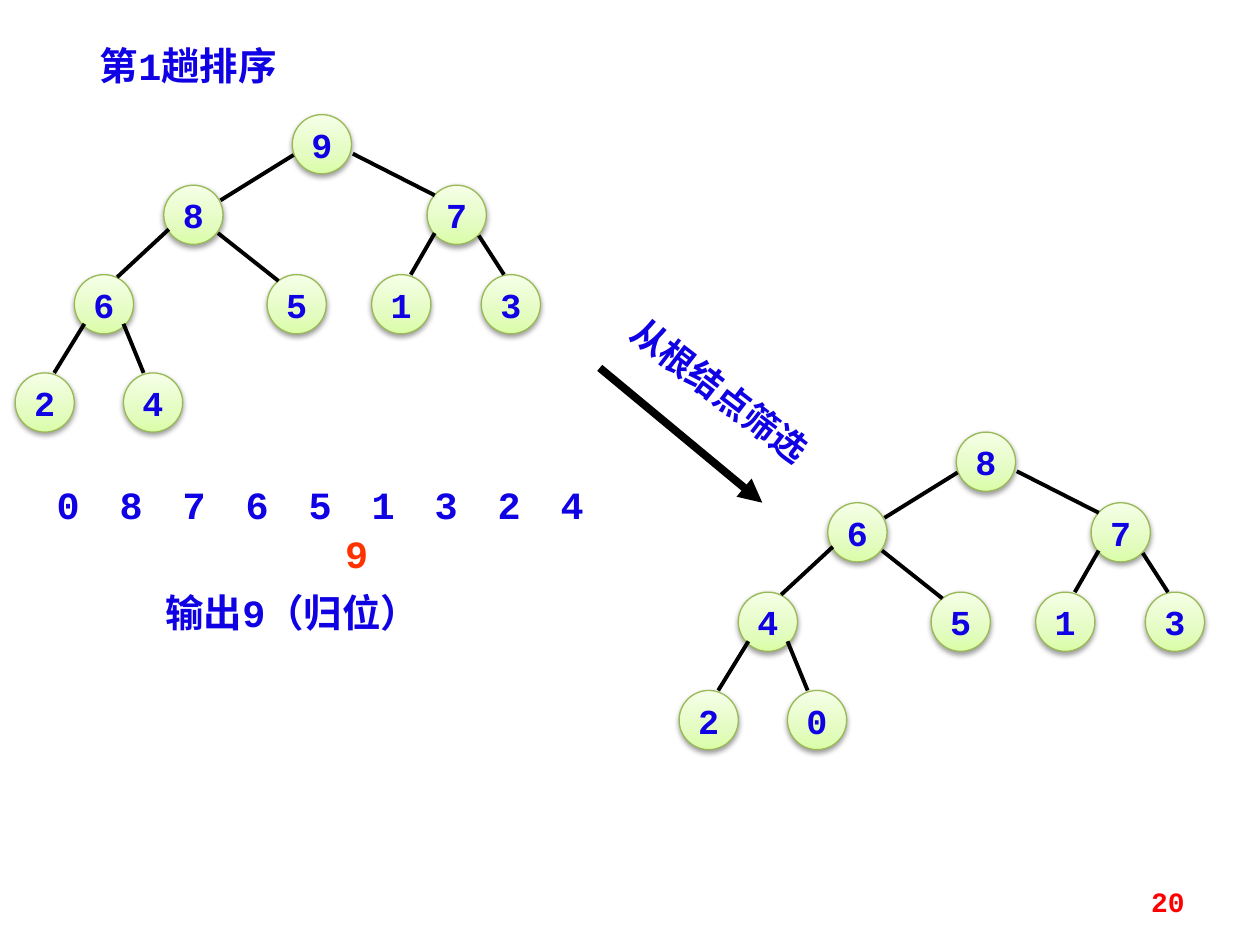
"""Build a slide showing the first pass of a heap sort."""
from dataclasses import dataclass

from lxml.etree import SubElement
from pptx import Presentation
from pptx.dml.color import RGBColor
from pptx.enum.shapes import MSO_CONNECTOR, MSO_SHAPE
from pptx.enum.text import MSO_ANCHOR, PP_ALIGN
from pptx.oxml import parse_xml
from pptx.oxml.ns import nsdecls, qn
from pptx.slide import Slide
from pptx.text.text import TextFrame
from pptx.util import Emu, Inches, Pt

SLIDE_WIDTH, SLIDE_HEIGHT = Inches(10), Inches(7.5)
COLUMN, ROW = SLIDE_WIDTH / 10, SLIDE_HEIGHT / 7.5
FONT = "Courier New"
BLUE = RGBColor(0x10, 0x00, 0xE4)
ORANGE = RGBColor(0xFF, 0x33, 0x00)
RED = RGBColor(0xFF, 0x00, 0x00)
BLACK = RGBColor(0x00, 0x00, 0x00)
NODE_LINE = RGBColor(0x98, 0xB9, 0x55)
NODE_STOPS = (
    (0, RGBColor(0xDA, 0xFD, 0xA7)),
    (35, RGBColor(0xE4, 0xFC, 0xC2)),
    (100, RGBColor(0xF5, 0xFF, 0xE7)),
)
NODE_SIZE = 0.47
NODE_PLACES = (
    (2.32, 0.91),
    (1.3, 1.47), (3.39, 1.47),
    (0.59, 2.18), (2.12, 2.18), (2.95, 2.18), (3.82, 2.18),
    (0.12, 2.96), (0.98, 2.96),
)
SEQUENCE = "07"[:1] + "87651324"
SEQUENCE_INDENT, SEQUENCE_STEP = 0.08, 0.55


@dataclass(frozen=True)
class Box:
    """Place and size in grid columns and rows."""

    left: float
    top: float
    width: float
    height: float

    def lengths(self) -> tuple[Emu, Emu, Emu, Emu]:
        """Return left, top, width and height as slide lengths."""
        return (Emu(round(self.left * COLUMN)), Emu(round(self.top * ROW)),
                Emu(round(self.width * COLUMN)), Emu(round(self.height * ROW)))


@dataclass(frozen=True)
class Edge:
    """A straight line between two grid points."""

    start_x: float
    start_y: float
    end_x: float
    end_y: float

    def moved(self, right: float, down: float) -> "Edge":
        """Return the same line at another place."""
        return Edge(self.start_x + right, self.start_y + down,
                    self.end_x + right, self.end_y + down)


@dataclass(frozen=True)
class Tree:
    """Node values in level order, with the offset of the tree."""

    values: str
    right: float
    down: float


TREE_EDGES = (
    Edge(2.33, 1.23, 1.75, 1.59), Edge(2.8, 1.22, 3.45, 1.55),
    Edge(1.34, 1.82, 0.93, 2.2), Edge(1.73, 1.85, 2.21, 2.23),
    Edge(3.45, 1.85, 3.26, 2.18), Edge(3.8, 1.87, 4, 2.18),
    Edge(0.67, 2.57, 0.43, 2.96), Edge(0.98, 2.57, 1.14, 2.96),
)
TREES = (Tree("987651324", 0, 0), Tree("867451320", 5.27, 2.52))


def format_text(text_frame: TextFrame, size: float, color: RGBColor = BLUE,
                alignment: PP_ALIGN = PP_ALIGN.CENTER) -> None:
    """Give all runs one font, size and colour."""
    for paragraph in text_frame.paragraphs:
        paragraph.alignment = alignment
        for run in paragraph.runs:
            run.font.name = FONT
            run.font.size = Pt(size)
            run.font.bold = True
            run.font.color.rgb = color


def add_label(slide: Slide, text: str, box: Box, size: float, color: RGBColor = BLUE,
              alignment: PP_ALIGN = PP_ALIGN.CENTER, rotation: float = 0) -> TextFrame:
    """Add a text box and return its text frame."""
    shape = slide.shapes.add_textbox(*box.lengths())
    shape.rotation = rotation
    text_frame = shape.text_frame
    text_frame.word_wrap = True
    text_frame.vertical_anchor = MSO_ANCHOR.MIDDLE
    text_frame.text = text
    format_text(text_frame, size, color, alignment)
    return text_frame


def add_node(slide: Slide, value: str, box: Box) -> None:
    """Add a round tree node with a gradient and a soft shadow."""
    shape = slide.shapes.add_shape(MSO_SHAPE.OVAL, *box.lengths())
    shape.line.color.rgb = NODE_LINE
    shape.line.width = Pt(0.75)
    stops = "".join(f'<a:gs pos="{share * 1000}"><a:srgbClr val="{color}"/></a:gs>'
                    for share, color in NODE_STOPS)
    properties = shape.element.spPr
    properties.find(qn("a:prstGeom")).addnext(parse_xml(
        f'<a:gradFill {nsdecls("a")} rotWithShape="1"><a:gsLst>{stops}</a:gsLst>'
        '<a:lin ang="16200000" scaled="0"/></a:gradFill>'))
    properties.append(parse_xml(
        f'<a:effectLst {nsdecls("a")}><a:outerShdw blurRad="{Pt(3.1)}" dist="{Pt(1.6)}" '
        'dir="5400000" rotWithShape="0"><a:srgbClr val="000000"><a:alpha val="38000"/>'
        '</a:srgbClr></a:outerShdw></a:effectLst>'))
    text_frame = shape.text_frame
    text_frame.word_wrap = False
    text_frame.vertical_anchor = MSO_ANCHOR.MIDDLE
    text_frame.text = value
    format_text(text_frame, 20)


def add_edge(slide: Slide, edge: Edge, width: float = 2.25, arrow: bool = False) -> None:
    """Add a black line, with an arrowhead at its end if asked."""
    connector = slide.shapes.add_connector(
        MSO_CONNECTOR.STRAIGHT,
        Emu(round(edge.start_x * COLUMN)), Emu(round(edge.start_y * ROW)),
        Emu(round(edge.end_x * COLUMN)), Emu(round(edge.end_y * ROW)))
    connector.line.color.rgb = BLACK
    connector.line.width = Pt(width)
    if arrow:
        SubElement(connector.line._get_or_add_ln(), qn("a:tailEnd"), type="triangle")
    SubElement(connector.element.spPr, qn("a:effectLst"))


def add_tree(slide: Slide, tree: Tree) -> None:
    """Add the nodes and edges of one heap."""
    for value, (left, top) in zip(tree.values, NODE_PLACES):
        add_node(slide, value, Box(left + tree.right, top + tree.down, NODE_SIZE, NODE_SIZE))
    for edge in TREE_EDGES:
        add_edge(slide, edge.moved(tree.right, tree.down))


def add_sequence(slide: Slide) -> None:
    """Add the array on tab stops, with the sorted value below."""
    text_frame = add_label(slide, "\t".join(SEQUENCE), Box(0.27, 3.78, 5.12, 0.83), 22,
                           alignment=PP_ALIGN.LEFT)
    properties = text_frame.paragraphs[0]._p.get_or_add_pPr()
    properties.set("marL", str(Inches(SEQUENCE_INDENT)))
    properties.set("indent", "0")
    tab_list = SubElement(properties, qn("a:tabLst"))
    for index in range(1, len(SEQUENCE)):
        position = Inches(SEQUENCE_INDENT + index * SEQUENCE_STEP)
        SubElement(tab_list, qn("a:tab"), pos=str(position), algn="l")
    paragraph = text_frame.add_paragraph()
    paragraph.text = "9"
    paragraph.alignment = PP_ALIGN.CENTER
    paragraph.space_before = Pt(1.5)
    font = paragraph.runs[0].font
    font.name, font.size, font.bold = FONT, Pt(22), True
    font.color.rgb = ORANGE


def main() -> None:
    """Build and save the presentation."""
    presentation = Presentation()
    presentation.slide_width, presentation.slide_height = SLIDE_WIDTH, SLIDE_HEIGHT
    slide = presentation.slides.add_slide(presentation.slide_layouts[5])
    title = slide.shapes.title
    title.left, title.top, title.width, title.height = Box(0.43, 0.28, 2.13, 0.47).lengths()
    title.text_frame.text = "第1趟排序"
    format_text(title.text_frame, 22)
    for tree in TREES:
        add_tree(slide, tree)
    add_sequence(slide)
    add_label(slide, "输出9（归位）", Box(1.06, 4.62, 2.52, 0.47), 22)
    add_edge(slide, Edge(4.76, 2.92, 6.05, 3.99), 4.5, arrow=True)
    add_label(slide, "从根结点筛选", Box(4.77, 2.88, 1.89, 0.43), 20, rotation=37.5)
    add_label(slide, "20", Box(7.17, 6.95, 2.33, 0.4), 16, RED, PP_ALIGN.RIGHT)
    presentation.save("out.pptx")


if __name__ == "__main__":
    main()
